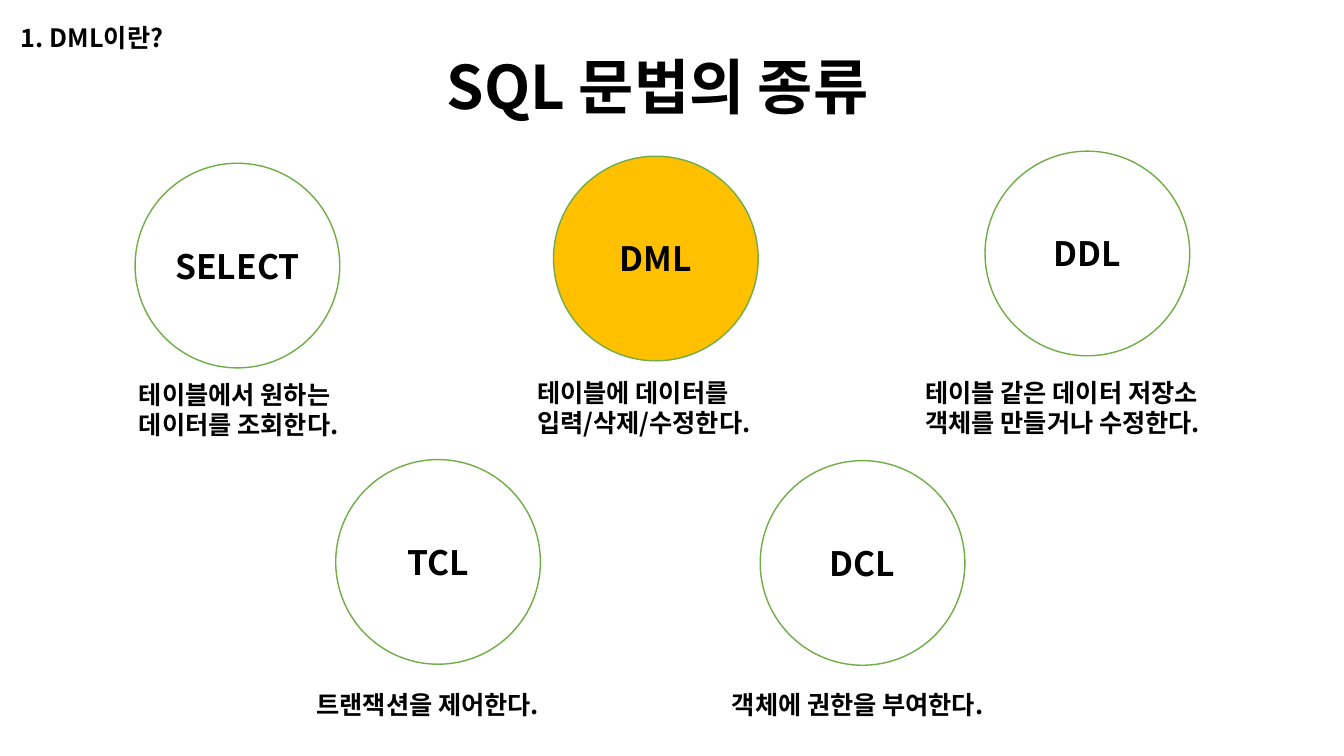
from lxml.etree import SubElement
from pptx import Presentation
from pptx.dml.color import RGBColor
from pptx.enum.shapes import MSO_SHAPE
from pptx.enum.text import MSO_ANCHOR, MSO_AUTO_SIZE, PP_ALIGN
from pptx.oxml.ns import qn
from pptx.util import Inches, Pt

# Content: boxes are left, top, width, height in inches
TITLE = (" SQL 문법의 종류", (4.2, 0.51, 4.94, 0.77))
HEAD = ("1. DML이란?", (0.11, 0.17, 2.65, 0.4))

# Name, circle left and top, fill key, note lines, note box
KINDS = [
    ("SELECT", (1.34, 1.62), None,
     ["테이블에서 원하는", "데이터를 조회한다."], (1.28, 3.71, 2.45, 0.71)),
    ("DML", (5.49, 1.55), "gold",
     ["테이블에 데이터를", "입력/삭제/수정한다."], (5.23, 3.69, 2.56, 0.71)),
    ("DDL", (9.77, 1.5), "white",
     ["테이블 같은 데이터 저장소", "객체를 만들거나 수정한다."],
     (9.08, 3.69, 3.42, 0.71)),
    ("TCL", (3.33, 4.56), "white",
     ["트랜잭션을 제어한다."], (3.04, 6.79, 2.69, 0.4)),
    ("DCL", (7.54, 4.57), "white",
     ["객체에 권한을 부여한다."], (7.16, 6.79, 3.12, 0.4)),
]

# Style
FONT = "Noto Sans CJK KR"
BLACK = RGBColor(0x00, 0x00, 0x00)
WHITE = RGBColor(0xFF, 0xFF, 0xFF)
GREEN = RGBColor(0x70, 0xAD, 0x47)
GOLD = RGBColor(0xFF, 0xC0, 0x00)
FILLS = {"white": WHITE, "gold": GOLD}
SIZE = 2.03


def add_run(para, text, size):
    run = para.add_run()
    run.text = text
    font = run.font
    font.name, font.size, font.bold = FONT, Pt(size), True
    font.color.rgb = BLACK
    # Korean letters take the East Asian font
    SubElement(run._r.get_or_add_rPr(), qn("a:ea"), typeface=FONT)


def add_text(slide, lines, box, size=18):
    frame = slide.shapes.add_textbox(*map(Inches, box)).text_frame
    frame.word_wrap = True
    frame.auto_size = MSO_AUTO_SIZE.SHAPE_TO_FIT_TEXT
    for i, line in enumerate(lines):
        para = frame.add_paragraph() if i else frame.paragraphs[0]
        add_run(para, line, size)
    return frame


def add_disc(slide, name, spot, fill):
    disc = slide.shapes.add_shape(
        MSO_SHAPE.OVAL, *map(Inches, (*spot, SIZE, SIZE)))
    disc.shadow.inherit = False
    if fill:
        disc.fill.solid()
        disc.fill.fore_color.rgb = FILLS[fill]
    else:
        disc.fill.background()
    disc.line.color.rgb = GREEN
    disc.line.width = Pt(1)
    frame = disc.text_frame
    frame.vertical_anchor = MSO_ANCHOR.MIDDLE
    para = frame.paragraphs[0]
    para.alignment = PP_ALIGN.CENTER
    add_run(para, name, 24)


def main():
    deck = Presentation()
    deck.slide_width, deck.slide_height = Inches(13.33), Inches(7.5)
    slide = deck.slides.add_slide(deck.slide_layouts[6])

    # Title and section head
    text, box = TITLE
    frame = add_text(slide, [text], box, 42.9)
    frame.auto_size = MSO_AUTO_SIZE.NONE
    frame.vertical_anchor = MSO_ANCHOR.MIDDLE
    frame.paragraphs[0].line_spacing = 0.9
    text, box = HEAD
    add_text(slide, [text], box)

    # Circles with their notes
    for name, spot, fill, lines, box in KINDS:
        add_disc(slide, name, spot, fill)
        add_text(slide, lines, box)

    deck.save("out.pptx")


if __name__ == "__main__":
    main()
